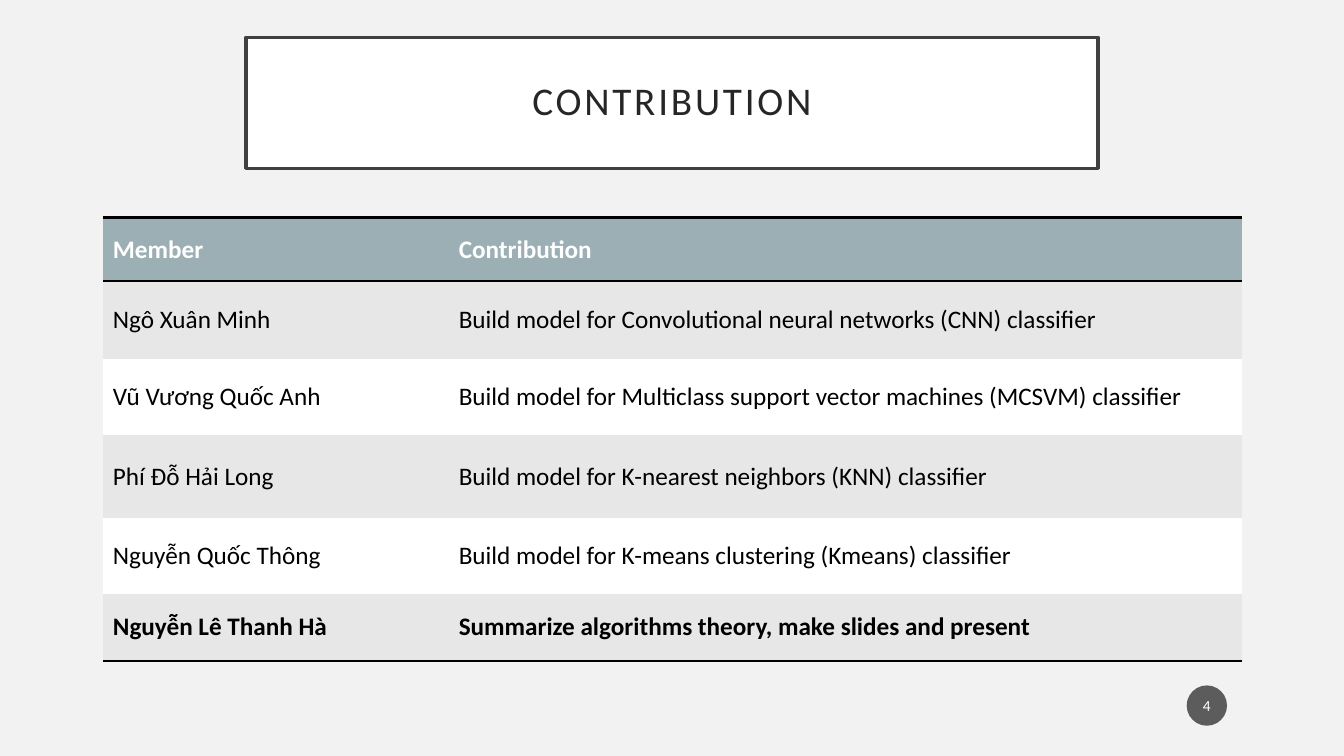
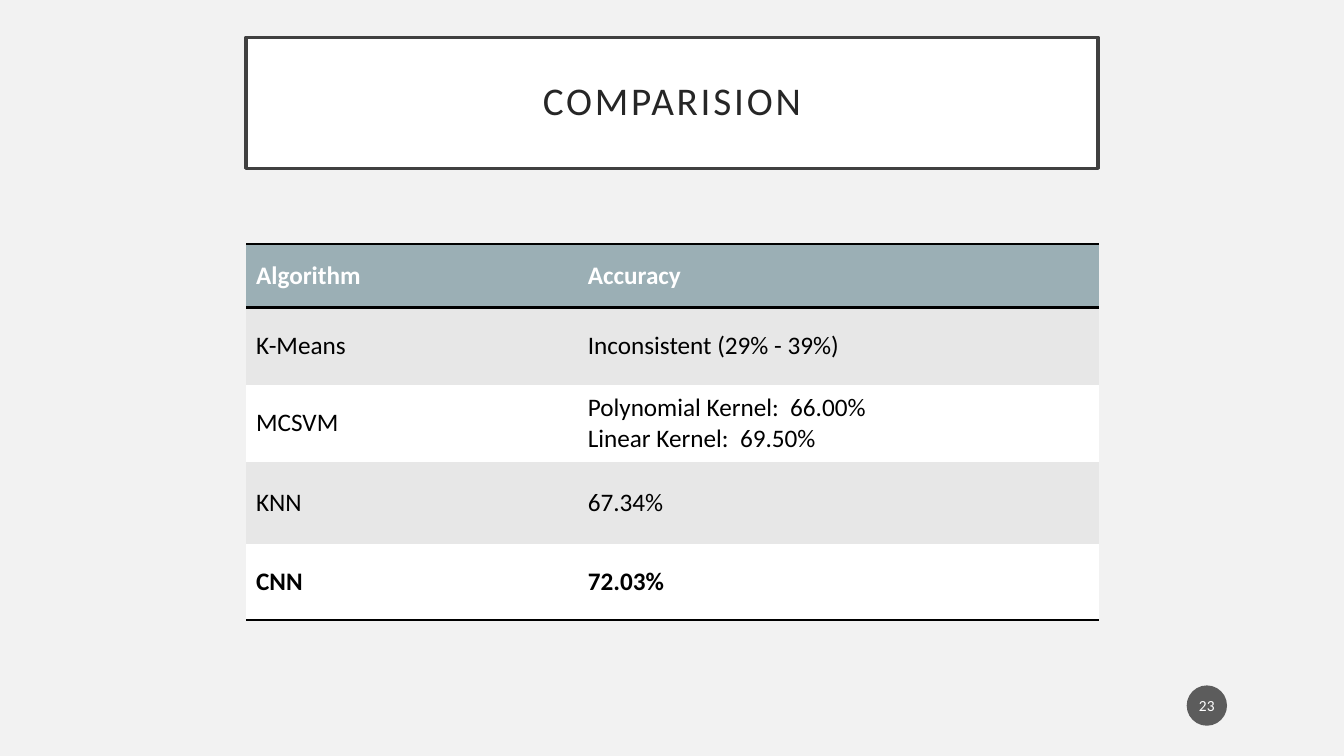
from lxml.etree import SubElement
from pptx import Presentation
from pptx.dml.color import RGBColor
from pptx.enum.shapes import MSO_SHAPE as Preset
from pptx.enum.text import MSO_ANCHOR as Anchor, PP_ALIGN as Align
from pptx.oxml.ns import qn
from pptx.util import Inches, Pt

COLORS = {
    "background": "F2F2F2",
    "white": "FFFFFF",
    "frame": "404040",
    "title": "262626",
    "header": "9BAFB5",
    "band": "E7E7E7",
    "black": "000000",
    "badge": "1D1D1D",
}
FONT = "Calibri"
PLAIN_TABLE = "{2D5ABB26-0587-4C30-8999-92F81FD0307C}"
ROW_HEIGHTS = [0.63, 0.77, 0.76, 0.82, 0.75, 0.67]

MEMBERS = [
    ("Member", "Contribution"),
    ("Ngô Xuân Minh", "Build model for Convolutional neural networks (CNN) classifier"),
    ("Vũ Vương Quốc Anh", "Build model for Multiclass support vector machines (MCSVM) classifier"),
    ("Phí Đỗ Hải Long", "Build model for K-nearest neighbors (KNN) classifier"),
    ("Nguyễn Quốc Thông", "Build model for K-means clustering (Kmeans) classifier"),
    ("Nguyễn Lê Thanh Hà", "Summarize algorithms theory, make slides and present"),
]
ACCURACIES = [
    ("Algorithm", "Accuracy"),
    ("K-Means", "Inconsistent (29% - 39%)"),
    ("MCSVM", "Polynomial Kernel:  66.00%\nLinear Kernel:  69.50%"),
    ("KNN", "67.34%"),
    ("CNN", "72.03%"),
]


def rgb(name):
    return RGBColor.from_string(COLORS[name])


def paint(fill, color):
    fill.solid()
    fill.fore_color.rgb = rgb(color)


def write(frame, text, size, color, bold=False, align=Align.LEFT):
    frame.text = text
    for paragraph in frame.paragraphs:
        paragraph.alignment = align
        for run in paragraph.runs:
            run.font.name = FONT
            run.font.size = Pt(size)
            run.font.bold = bold
            run.font.color.rgb = rgb(color)


def add_panel(slide, preset, box, fill, inset_x, inset_y):
    panel = slide.shapes.add_shape(preset, *map(Inches, box))
    panel.shadow.inherit = False
    paint(panel.fill, fill)
    frame = panel.text_frame
    frame.word_wrap = True
    frame.vertical_anchor = Anchor.MIDDLE
    frame.margin_left = frame.margin_right = Inches(inset_x)
    frame.margin_top = frame.margin_bottom = Inches(inset_y)
    return panel


def add_title(slide, text):
    title = add_panel(slide, Preset.RECTANGLE, (2.44, 0.37, 8.45, 1.3), "white", 0.2, 0.2)
    title.line.color.rgb = rgb("frame")
    title.line.width = Pt(2.5)
    write(title.text_frame, text, 28, "title", align=Align.CENTER)
    heading = title.text_frame.paragraphs[0]
    heading.line_spacing = 0.9
    heading.runs[0]._r.get_or_add_rPr().set("spc", "200")


def add_page_number(slide, number):
    badge = add_panel(slide, Preset.OVAL, (11.77, 6.8, 0.4, 0.4), "badge", 0.02, 0.05)
    badge.line.fill.background()
    color = badge._element.spPr.find(qn("a:solidFill"))[0]
    SubElement(color, qn("a:alpha"), val="70000")
    write(badge.text_frame, str(number), 11, "white", align=Align.CENTER)


def add_rule(cell, edge):
    rule = SubElement(cell._tc.get_or_add_tcPr(), qn(f"a:ln{edge}"), w=str(Pt(2)))
    fill = SubElement(rule, qn("a:solidFill"))
    SubElement(fill, qn("a:srgbClr"), val=COLORS["black"])


def add_ruled_table(slide, rows, left, top, widths):
    heights = ROW_HEIGHTS[:len(rows)]
    box = map(Inches, (left, top, sum(widths), sum(heights)))
    table = slide.shapes.add_table(len(rows), len(widths), *box).table
    table.horz_banding = False
    table._tbl.tblPr.find(qn("a:tableStyleId")).text = PLAIN_TABLE
    for column, width in zip(table.columns, widths):
        column.width = Inches(width)
    last = len(rows) - 1
    for index, (texts, height) in enumerate(zip(rows, heights)):
        table.rows[index].height = Inches(height)
        is_header = index == 0
        edges = "TB" if is_header else "B" if index == last else ""
        fill = "header" if is_header else "band" if index % 2 else "white"
        for cell, text in zip(table.rows[index].cells, texts):
            for edge in edges:
                add_rule(cell, edge)
            paint(cell.fill, fill)
            cell.vertical_anchor = Anchor.MIDDLE
            write(cell.text_frame, text, 18, "white" if is_header else "black",
                  bold=index in (0, last))


def add_table_slide(deck, title, number, rows, left, top, widths):
    slide = deck.slides.add_slide(deck.slide_layouts[6])
    paint(slide.background.fill, "background")
    add_title(slide, title)
    add_ruled_table(slide, rows, left, top, widths)
    add_page_number(slide, number)


def main():
    deck = Presentation()
    deck.slide_width = Inches(13.33)
    deck.slide_height = Inches(7.5)
    add_table_slide(deck, "CONTRIBUTION", 4, MEMBERS, 1.02, 2.16, (3.43, 7.87))
    add_table_slide(deck, "COMPARISION", 23, ACCURACIES, 2.44, 2.42, (3.29, 5.17))
    deck.save("out.pptx")


if __name__ == "__main__":
    main()
